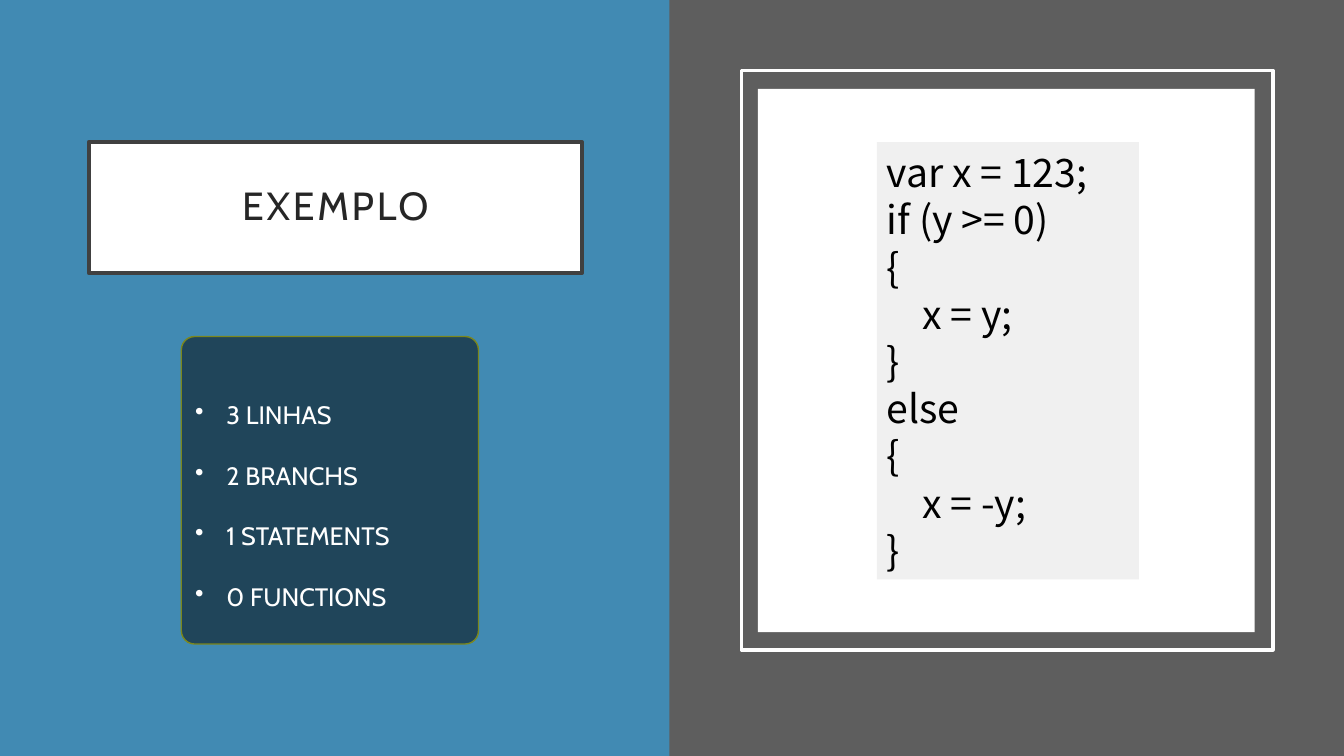
from lxml import etree
from pptx import Presentation
from pptx import util as u
from pptx.dml.color import RGBColor
from pptx.enum import shapes, text
from pptx.oxml.ns import qn

BULLETS = ["3 LINHAS", "2 BRANCHS", "1 STATEMENTS", "0 FUNCTIONS"]
CODE = [("var x = 123;", 0), ("if (y >= 0)", 0), ("{", 0), ("x = y;", 1), ("}", 0),
        ("else", 0), ("{", 0), ("x = -y;", 1), ("}", 0)]


def rgb(value):
    """Turn a hex string into a colour."""
    return RGBColor.from_string(value)


def place(sp, left, top, width, height):
    """Set position and size in centimetres."""
    sp.left, sp.top, sp.width, sp.height = map(u.Cm, (left, top, width, height))


def paint(sp, fill=None, line=None, weight=1):
    """Set fill and outline, leaving out whichever is not given."""
    if fill:
        sp.fill.solid()
        sp.fill.fore_color.rgb = rgb(fill)
    else:
        sp.fill.background()
    if line:
        sp.line.color.rgb = rgb(line)
        sp.line.width = u.Pt(weight)
    else:
        sp.line.fill.background()


def add_box(s, box, fill=None, line=None, weight=1, corner=None):
    """Add a rectangle, rounded when a corner ratio is given."""
    kind = shapes.MSO_SHAPE.ROUNDED_RECTANGLE if corner else shapes.MSO_SHAPE.RECTANGLE
    sp = s.shapes.add_shape(kind, *map(u.Cm, box))
    if corner:
        sp.adjustments[0] = corner
    sp.shadow.inherit = False
    paint(sp, fill, line, weight)
    return sp


def style(p, font, size, color, align, spacing):
    """Format a whole paragraph."""
    p.font.name, p.font.size = font, u.Pt(size)
    p.font.color.rgb = rgb(color)
    p.alignment, p.line_spacing = align, spacing


def indent(p, margin, first=0):
    """Set the left margin and first-line indent."""
    pPr = p._p.get_or_add_pPr()
    pPr.set("marL", str(u.Cm(margin)))
    pPr.set("indent", str(u.Cm(first)))
    return pPr


def add_lines(sp, lines):
    """Yield one filled paragraph for each line of text."""
    tf = sp.text_frame
    tf.word_wrap = True
    tf.vertical_anchor = text.MSO_ANCHOR.MIDDLE
    for i, line in enumerate(lines):
        p = tf.add_paragraph() if i else tf.paragraphs[0]
        p.text = line
        yield p


def add_title(s):
    """Format the title placeholder and bring it above the panel."""
    sp = s.shapes.title
    s.shapes._spTree.append(sp._element)
    place(sp, 2.24, 3.58, 12.42, 3.3)
    paint(sp, "FFFFFF", "404040", 3)
    tf = sp.text_frame
    tf.margin_left = tf.margin_right = tf.margin_top = tf.margin_bottom = u.Cm(0.5)
    for p in add_lines(sp, ["EXEMPLO"]):
        style(p, "Cabin", 28, "262626", text.PP_ALIGN.CENTER, 0.9)
        p.runs[0].font._element.set("spc", "200")


def add_code(s):
    """Add the code listing."""
    sp = add_box(s, (22.1, 3.58, 6.6, 11.02), "F0F0F0")
    for p, (_, level) in zip(add_lines(sp, [line for line, _ in CODE]), CODE):
        style(p, "Noto Sans CJK TC", 28, "000000", text.PP_ALIGN.LEFT, u.Pt(33.7))
        indent(p, 0.9 * level)


def add_bullets(s):
    """Add the rounded card with the bulleted counts."""
    sp = add_box(s, (4.57, 8.48, 7.49, 7.75), "20455A", "7B871D", 1, 0.045)
    for p in add_lines(sp, BULLETS):
        style(p, "Cabin", 18, "FFFFFF", text.PP_ALIGN.LEFT, 2.0)
        pPr = indent(p, 0.79, -0.79)
        bullet = etree.Element(qn("a:buChar"), char="•")
        pPr.insert_element_before(bullet, "a:tabLst", "a:defRPr", "a:extLst")


def main():
    """Build and save the slide."""
    prs = Presentation()
    prs.slide_width, prs.slide_height = u.Cm(33.87), u.Cm(19.05)
    s = prs.slides.add_slide(prs.slide_layouts[5])
    s.background.fill.solid()
    s.background.fill.fore_color.rgb = rgb("5E5E5E")
    add_box(s, (0, 0, 16.87, 19.05), "418AB3")
    add_title(s)
    add_box(s, (18.69, 1.78, 13.39, 14.6), line="FFFFFF", weight=2.5)
    add_box(s, (19.1, 2.24, 12.52, 13.69), "FFFFFF")
    add_code(s)
    add_bullets(s)
    prs.save("out.pptx")


if __name__ == "__main__":
    main()
